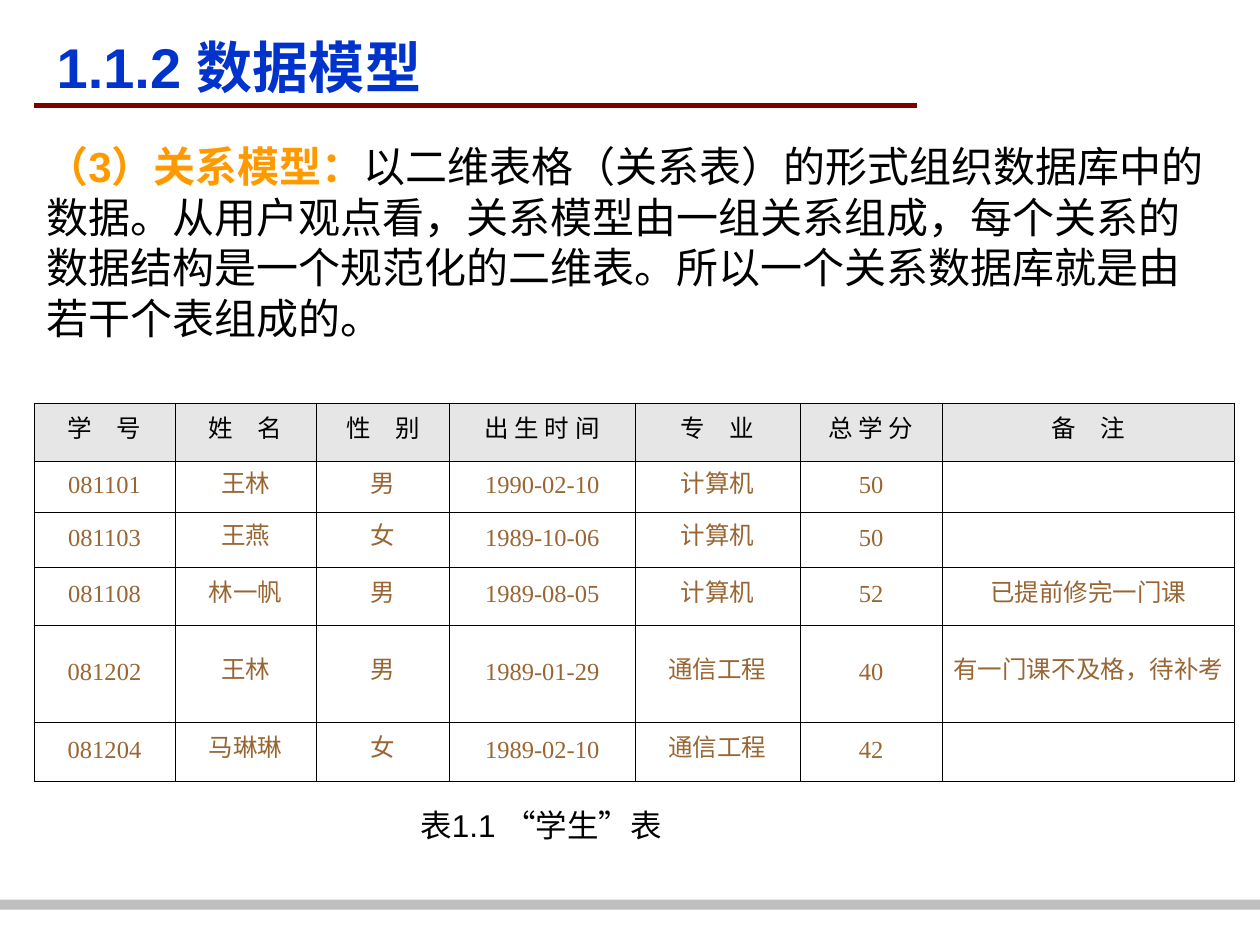
from lxml import etree
from pptx import Presentation
from pptx.dml.color import RGBColor
from pptx.enum.shapes import MSO_CONNECTOR, MSO_SHAPE
from pptx.enum.text import MSO_ANCHOR, MSO_AUTO_SIZE, PP_ALIGN
from pptx.oxml.ns import qn
from pptx.util import Inches, Pt

LEFT, CENTER = PP_ALIGN.LEFT, PP_ALIGN.CENTER
TOP, MIDDLE = MSO_ANCHOR.TOP, MSO_ANCHOR.MIDDLE
NO_FIT = MSO_AUTO_SIZE.NONE
STRAIGHT = MSO_CONNECTOR.STRAIGHT
RECTANGLE = MSO_SHAPE.RECTANGLE

COLORS = {
    "title": "0033CC",
    "term": "FF9900",
    "text": "000000",
    "data": "996633",
    "header": "E6E6E6",
    "rule": "800000",
    "footer": "BFBFBF",
    "border": "000000",
}
COLUMN_WIDTHS = [1.12, 1.12, 1.06, 1.47, 1.31, 1.13, 2.32]
ROW_HEIGHTS = [0.46, 0.41, 0.43, 0.46, 0.77, 0.47]
STUDENTS = [
    ["学　号", "姓　名", "性　别", "出 生 时 间", "专　业", "总 学 分", "备　注"],
    ["081101", "王林", "男", "1990-02-10", "计算机", "50", ""],
    ["081103", "王燕", "女", "1989-10-06", "计算机", "50", ""],
    ["081108", "林一帆", "男", "1989-08-05", "计算机", "52", "已提前修完一门课"],
    ["081202", "王林", "男", "1989-01-29", "通信工程", "40", "有一门课不及格，待补考"],
    ["081204", "马琳琳", "女", "1989-02-10", "通信工程", "42", ""],
]
DEFINITION = (
    "以二维表格（关系表）的形式组织数据库中的数据。"
    "从用户观点看，关系模型由一组关系组成，每个关系的数据结构是一个规范化的二维表。"
    "所以一个关系数据库就是由若干个表组成的。"
)


class SlideBuilder:
    """Holds the slide and its style and adds each kind of element."""

    def __init__(self, slide):
        self.slide = slide

    def color(self, name):
        return RGBColor.from_string(COLORS[name])

    def format_run(self, run, size, color, bold=False, font="Arial"):
        run.font.name = font
        run.font.size = Pt(size)
        run.font.bold = bold
        run.font.color.rgb = self.color(color)

    def prepare_frame(self, frame, align):
        frame.word_wrap = True
        frame.auto_size = NO_FIT
        frame.vertical_anchor = TOP
        frame.paragraphs[0].alignment = align
        return frame.paragraphs[0]

    def title(self, text, left, top, width, height):
        title = self.slide.shapes.title
        title.left, title.top = Inches(left), Inches(top)
        title.width, title.height = Inches(width), Inches(height)
        title.text_frame.text = text
        paragraph = self.prepare_frame(title.text_frame, LEFT)
        self.format_run(paragraph.runs[0], 32, "title", bold=True)

    def text(self, parts, left, top, width, height, size, align=LEFT):
        box = self.slide.shapes.add_textbox(
            Inches(left), Inches(top), Inches(width), Inches(height))
        paragraph = self.prepare_frame(box.text_frame, align)
        for words, color, bold in parts:
            run = paragraph.add_run()
            run.text = words
            self.format_run(run, size, color, bold)

    def rule(self, left, right, y, color, weight):
        rule = self.slide.shapes.add_connector(
            STRAIGHT, Inches(left), Inches(y), Inches(right), Inches(y))
        rule.line.color.rgb = self.color(color)
        rule.line.width = Pt(weight)
        etree.SubElement(rule._element.spPr, qn("a:effectLst"))

    def bar(self, left, top, width, height, color):
        bar = self.slide.shapes.add_shape(
            RECTANGLE, Inches(left), Inches(top), Inches(width), Inches(height))
        bar.shadow.inherit = False
        bar.fill.solid()
        bar.fill.fore_color.rgb = self.color(color)
        bar.line.fill.background()

    def border(self, cell, weight):
        properties = cell._tc.get_or_add_tcPr()
        for position, side in enumerate(("lnL", "lnR", "lnT", "lnB")):
            line = etree.Element(qn(f"a:{side}"), w=str(Pt(weight)))
            fill = etree.SubElement(line, qn("a:solidFill"))
            etree.SubElement(fill, qn("a:srgbClr"), val=COLORS["border"])
            properties.insert(position, line)

    def cell(self, cell, text, is_header):
        cell.vertical_anchor = MIDDLE
        cell.margin_left = cell.margin_right = Inches(0.08)
        cell.margin_top = cell.margin_bottom = Inches(0.05)
        if is_header:
            cell.fill.solid()
            cell.fill.fore_color.rgb = self.color("header")
        else:
            cell.fill.background()
        self.border(cell, 0.45)
        cell.text_frame.text = text
        paragraph = cell.text_frame.paragraphs[0]
        paragraph.alignment = CENTER
        paragraph.line_spacing = Pt(14)
        for run in paragraph.runs:
            self.format_run(run, 14, "text" if is_header else "data",
                            font="Times New Roman")

    def table(self, rows, left, top, widths, heights):
        table = self.slide.shapes.add_table(
            len(rows), len(widths), Inches(left), Inches(top),
            Inches(sum(widths)), Inches(sum(heights))).table
        table.horz_banding = False
        for column, width in zip(table.columns, widths):
            column.width = Inches(width)
        for index, (row, height, values) in enumerate(zip(table.rows, heights, rows)):
            row.height = Inches(height)
            for cell, value in zip(row.cells, values):
                self.cell(cell, value, is_header=index == 0)


def main():
    presentation = Presentation()
    presentation.slide_width, presentation.slide_height = Inches(10), Inches(7.5)
    title_only = presentation.slide_layouts[5]
    builder = SlideBuilder(presentation.slides.add_slide(title_only))

    builder.rule(0.27, 7.28, 0.84, "rule", 3)
    builder.bar(0, 7.14, 10, 0.08, "footer")
    builder.table(STUDENTS, 0.27, 3.2, COLUMN_WIDTHS, ROW_HEIGHTS)
    builder.title("1.1.2 数据模型", 0.35, 0.21, 6.06, 0.64)
    builder.text([("（3）关系模型：", "term", True), (DEFINITION, "text", False)],
                 0.27, 1.07, 9.45, 1.7, 24)
    builder.text([("表1.1 “学生”表", "text", False)],
                 1.38, 6.35, 5.83, 0.4, 18, CENTER)
    presentation.save("out.pptx")


if __name__ == "__main__":
    main()
